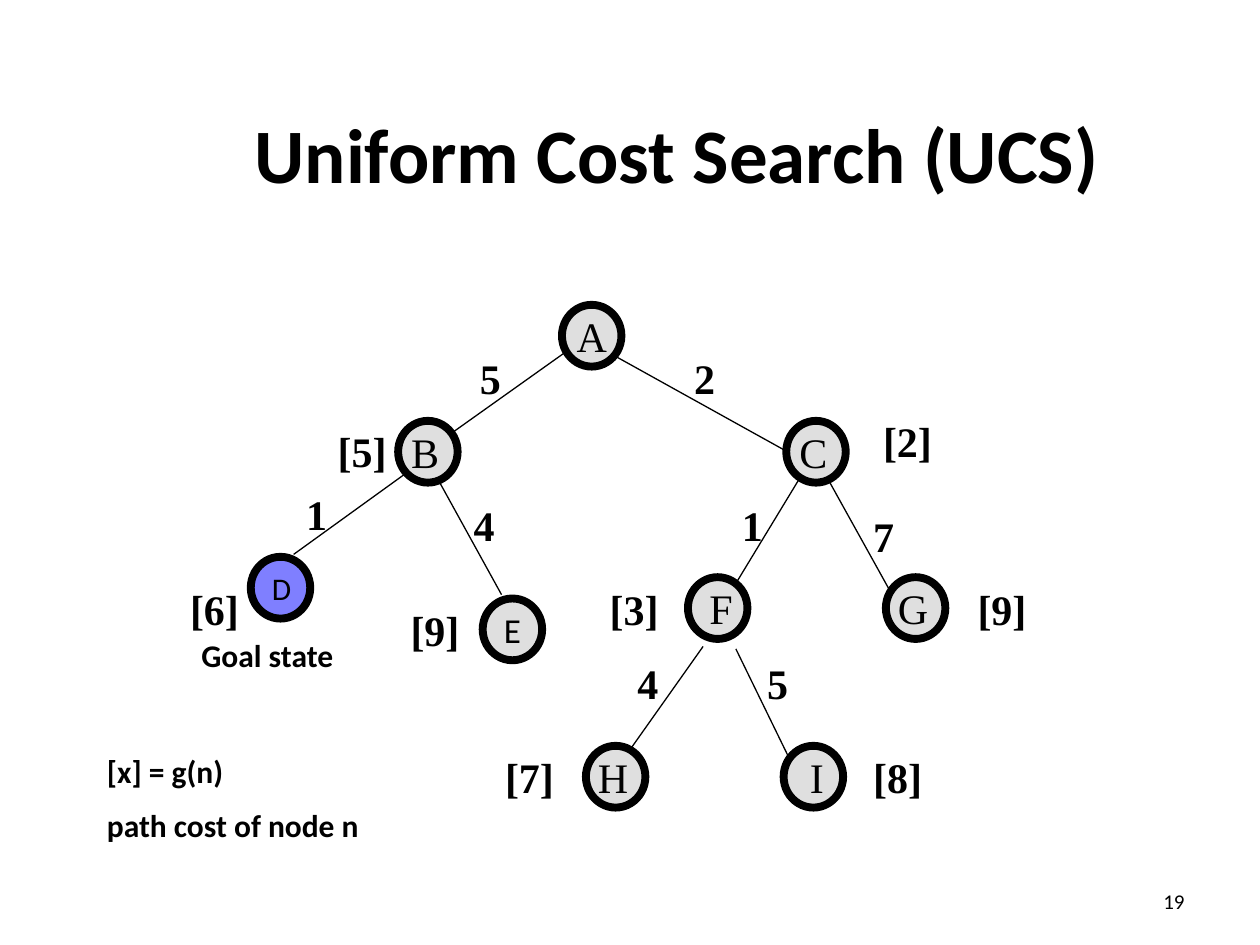
from lxml import etree
from pptx import Presentation
from pptx.dml.color import RGBColor
from pptx.enum.shapes import MSO_CONNECTOR, MSO_SHAPE
from pptx.enum.text import MSO_ANCHOR, MSO_AUTO_SIZE, PP_ALIGN
from pptx.oxml.ns import qn
from pptx.util import Pt

LEFT, CENTER, RIGHT = PP_ALIGN.LEFT, PP_ALIGN.CENTER, PP_ALIGN.RIGHT
TOP, MIDDLE = MSO_ANCHOR.TOP, MSO_ANCHOR.MIDDLE
GROW, FIXED = MSO_AUTO_SIZE.SHAPE_TO_FIT_TEXT, MSO_AUTO_SIZE.NONE
BLACK, GREY, BLUE = "000000", "C0C0C0", "0000FF"

# Content, lengths in points
TITLE = "Uniform Cost Search (UCS)"
PAGE = "19"
NODE_W, NODE_H = 34, 35.3
LABEL_H = 36

# letter: (left, top, fill)
NODES = {
    "A": (321.1, 174.2, GREY),
    "B": (227.5, 240.5, GREY),
    "C": (449.3, 240.5, GREY),
    "D": (143.3, 318.2, BLUE),
    "E": (275.8, 342, GREY),
    "F": (393.1, 329.8, GREY),
    "G": (506.2, 329.8, GREY),
    "H": (334.8, 426.2, GREY),
    "I": (447.8, 426.2, GREY),
}
# letters set over their circle: shift from the circle's centre
LETTER_SHIFT = {"A": 0, "B": -1.5, "C": -1.5, "F": 2, "G": -1.5, "H": -1.5, "I": 2}
# letters set inside their circle
INNER_FORMAT = {
    "D": {"size": 18, "align": LEFT},
    "E": {"size": 20, "align": CENTER},
}
# (start, end, step cost, label left and top)
EDGES = [
    ((322.6, 201.6), (257.8, 247.7), "5", (267.1, 198)),
    ((350.6, 203), (449.3, 257.8), "2", (389.5, 198)),
    ((232.6, 270), (167.8, 316.8), "1", (167.8, 275.8)),
    ((251.3, 275.8), (286.6, 339.8), "4", (263.5, 282.2)),
    ((457.2, 272.9), (420.5, 333.4), "1", (416.9, 282.2)),
    ((473.8, 275), (509, 338.4), "7", (491.8, 288)),
    ((401.8, 369.4), (360, 428.4), "4", (357.1, 372.2)),
    ((420.5, 370.8), (450.7, 432.7), "5", (431.3, 372.2)),
]
# (path cost, left, top)
PATH_COSTS = [
    ("[5]", 185.8, 239.8), ("[2]", 497.5, 234), ("[6]", 101.5, 329.8),
    ("[9]", 227.5, 342), ("[3]", 341.3, 329.8), ("[9]", 551.5, 329.8),
    ("[7]", 281.5, 426.2), ("[8]", 491.8, 426.2),
]
# (lines, box)
CAPTIONS = [
    (["[x] = g(n)", "path cost of node n"], (54, 426.2, 198, 61.2)),
    (["Goal state"], (108, 360, 113.8, 28.8)),
]


def rgb(value):
    return RGBColor.from_string(value)


def write(sp, lines, size, font="Times New Roman", bold=False, align=LEFT,
          anchor=TOP, wrap=False, auto=FIXED):
    tf = sp.text_frame
    frame = {"word_wrap": wrap, "auto_size": auto, "vertical_anchor": anchor}
    for name, value in frame.items():
        setattr(tf, name, value)
    for i, line in enumerate(lines):
        p = tf.add_paragraph() if i else tf.paragraphs[0]
        p.alignment = align
        if i:
            p.space_before = Pt(size / 2)
        r = p.add_run()
        r.text = line
        for name, value in {"name": font, "size": Pt(size), "bold": bold}.items():
            setattr(r.font, name, value)
        r.font.color.rgb = rgb(BLACK)


def add_text(s, box, lines, size, **fmt):
    sp = s.shapes.add_textbox(*map(Pt, box))
    write(sp, lines, size, **fmt)


def add_node(s, x, y, fill):
    sp = s.shapes.add_shape(MSO_SHAPE.OVAL, Pt(x), Pt(y), Pt(NODE_W), Pt(NODE_H))
    sp.shadow.inherit = False
    sp.fill.solid()
    sp.fill.fore_color.rgb = rgb(fill)
    color = sp.fill._xPr.find(qn("a:solidFill"))[0]
    etree.SubElement(color, qn("a:alpha"), val="50000")
    sp.line.color.rgb = rgb(BLACK)
    sp.line.width = Pt(4.5)
    return sp


def add_edge(s, start, end):
    line = s.shapes.add_connector(MSO_CONNECTOR.STRAIGHT, *map(Pt, start + end))
    line.line.color.rgb = rgb(BLACK)
    line.line.width = Pt(0.75)
    etree.SubElement(line._element.spPr, qn("a:effectLst"))


def main():
    prs = Presentation()
    prs.slide_width, prs.slide_height = Pt(720), Pt(540)
    s = prs.slides.add_slide(prs.slide_layouts[5])

    # Title and page number
    title = s.shapes.title
    place = {"left": 90, "top": 42, "width": 594, "height": 90}
    for name, value in place.items():
        setattr(title, name, Pt(value))
    write(title, [TITLE], 44, font="Calibri", bold=True, align=CENTER,
          anchor=MIDDLE, wrap=True)
    add_text(s, (516, 500.4, 168, 28.8), [PAGE], 12, font="Calibri",
             align=RIGHT, anchor=MIDDLE, wrap=True)

    # Nodes with their letters
    for letter, (x, y, fill) in NODES.items():
        node = add_node(s, x, y, fill)
        if letter in INNER_FORMAT:
            write(node, [letter], font="Calibri", anchor=MIDDLE,
                  **INNER_FORMAT[letter])
        else:
            box = (x + LETTER_SHIFT[letter], y - 0.3, NODE_W, LABEL_H)
            add_text(s, box, [letter], 24, align=CENTER, auto=GROW)

    # Edges with step costs
    for start, end, cost, (x, y) in EDGES:
        add_edge(s, start, end)
        add_text(s, (x, y, 26.5, LABEL_H), [cost], 24, bold=True, auto=GROW)

    # Path costs beside the nodes
    for cost, x, y in PATH_COSTS:
        add_text(s, (x, y, 42.5, LABEL_H), [cost], 24, bold=True, auto=GROW)

    # Captions
    for lines, box in CAPTIONS:
        add_text(s, box, lines, 18, font="Calibri", bold=True, wrap=True, auto=GROW)

    prs.save("out.pptx")


if __name__ == "__main__":
    main()
